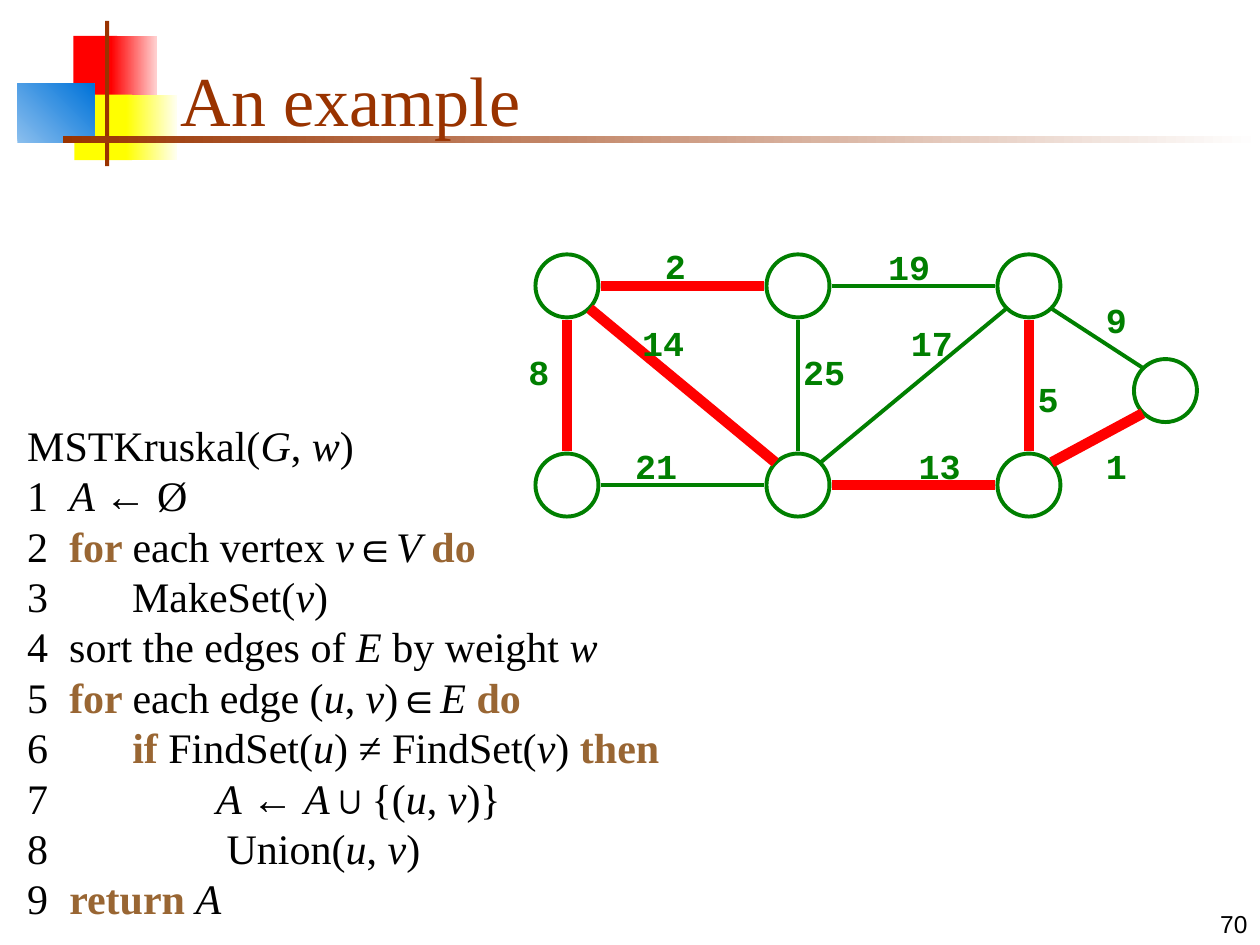
from lxml import etree
from pptx import Presentation
from pptx.dml.color import RGBColor
from pptx.enum.shapes import MSO_CONNECTOR, MSO_SHAPE
from pptx.enum.text import MSO_ANCHOR, PP_ALIGN
from pptx.oxml.ns import qn
from pptx.util import Pt

RECT = MSO_SHAPE.RECTANGLE
OVAL = MSO_SHAPE.OVAL
LINE = MSO_CONNECTOR.STRAIGHT
LEFT = PP_ALIGN.LEFT
MID = PP_ALIGN.CENTER
RIGHT = PP_ALIGN.RIGHT
TOP = MSO_ANCHOR.TOP
LOW = MSO_ANCHOR.BOTTOM

SERIF = "Times New Roman"
MONO = "Courier New"
SANS = "Arial"
BLACK = "000000"
WHITE = "FFFFFF"
GREEN = "007F00"
RED = "FF0000"
RUST = "993300"
BROWN = "996633"

RAD = 18
REACH = 19.4
SLANT = 13

DECOR = [
    (42, 20.5, 25, 37, [RED], 0),
    (63.5, 20.5, 26, 37, [RED, "FFD1D1"], 0),
    (42.5, 54, 33, 37.5, ["FFFF00"], 0),
    (72, 54, 29, 37.5, ["FFFF00", "FFFFF0"], 0),
    (10, 48, 44, 33.5, ["8BBFEE", "0073D9"], 45),
    (60, 12, 2.4, 83, [RUST], 0),
    (36, 78, 684, 3.8, [RUST, WHITE], 0),
]

NODES = {
    "a": (324, 163.4), "b": (456, 163.4), "c": (588, 163.4),
    "d": (324, 277.2), "e": (456, 277.2), "f": (588, 277.2),
    "g": (666, 223.2),
}

EDGES = [
    ("ab", 2, 386, 152, True),
    ("bc", 19, 519.5, 152.5, False),
    ("ce", 17, 532.5, 196, False),
    ("de", 21, 375, 266.5, False),
    ("ad", 8, 308, 212.5, True),
    ("ae", 14, 379, 196, True),
    ("be", 25, 471, 212.5, False),
    ("ef", 13, 537, 266.5, True),
    ("cf", 5, 599, 228, True),
    ("cg", 9, 638, 183, False),
    ("fg", 1, 638, 266.5, True),
]

CODE = [
    "MSTKruskal(*G*, *w*)",
    "1  *A *← Ø",
    "2  _for _each vertex *v∈V *_do_",
    "3        MakeSet(*v*)",
    "4  sort the edges of *E *by weight *w*",
    "5  _for _each edge (*u*, *v*)∈*E *_do_",
    "6        _if _FindSet(*u*) ≠ FindSet(*v*) _then_",
    "7                *A *← *A*∪{(*u*, *v*)}",
    "8                 Union(*u*, *v*)",
    "9  _return _*A*",
]


def paint(color, tone):
    color.rgb = RGBColor.from_string(tone)


def style(run, face, size, tone, bold=False, slope=False):
    font = run.font
    font.name = face
    font.size = Pt(size)
    font.bold = bold
    font.italic = slope
    paint(font.color, tone)


def block(slide, x, y, w, h, tones, turn):
    shape = slide.shapes.add_shape(RECT, Pt(x), Pt(y), Pt(w), Pt(h))
    shape.shadow.inherit = False
    shape.line.fill.background()
    if len(tones) == 1:
        shape.fill.solid()
        paint(shape.fill.fore_color, tones[0])
        return
    shape.fill.gradient()
    shape.fill.gradient_angle = turn
    for stop, tone in zip(shape.fill.gradient_stops, tones):
        paint(stop.color, tone)


def node(slide, x, y):
    side = Pt(2 * RAD)
    shape = slide.shapes.add_shape(OVAL, Pt(x - RAD), Pt(y - RAD), side, side)
    shape.shadow.inherit = False
    shape.fill.solid()
    paint(shape.fill.fore_color, WHITE)
    shape.line.width = Pt(2.25)
    paint(shape.line.color, GREEN)


def sign(num):
    return (num > 0) - (num < 0)


def edge(slide, start, end, tree):
    dx = sign(end[0] - start[0])
    dy = sign(end[1] - start[1])
    gap = SLANT if dx and dy else REACH
    line = slide.shapes.add_connector(
        LINE,
        Pt(start[0] + dx * gap), Pt(start[1] + dy * gap),
        Pt(end[0] - dx * gap), Pt(end[1] - dy * gap),
    )
    line.line.width = Pt(6 if tree else 2.25)
    paint(line.line.color, RED if tree else GREEN)
    etree.SubElement(line._element.spPr, qn("a:effectLst"))


def label(slide, x, y, w, h, text, face, size, tone, bold, align, anchor):
    box = slide.shapes.add_textbox(Pt(x), Pt(y), Pt(w), Pt(h))
    frame = box.text_frame
    frame.text = text
    frame.word_wrap = False
    frame.vertical_anchor = anchor
    para = frame.paragraphs[0]
    para.alignment = align
    style(para.runs[0], face, size, tone, bold)


def weight(slide, num, x, y):
    w = 28 if num < 10 else 42
    label(slide, x - w / 2, y - 16, w, 32, str(num),
          MONO, 20, GREEN, True, MID, TOP)


def listing(slide, x, y, w, h):
    frame = slide.shapes.add_textbox(Pt(x), Pt(y), Pt(w), Pt(h)).text_frame
    frame.word_wrap = True
    frame.text = "\n".join(CODE)
    for para, row in zip(frame.paragraphs, CODE):
        para.text = ""
        para.alignment = LEFT
        para.line_spacing = Pt(28.8)
        for i, part in enumerate(row.split("*")):
            for j, text in enumerate(part.split("_")):
                if text:
                    run = para.add_run()
                    run.text = text
                    key = j % 2 == 1
                    style(run, SERIF, 24, BROWN if key else BLACK,
                          key, i % 2 == 1)


def head(slide, text):
    title = slide.shapes.title
    title.left, title.top = Pt(96), Pt(18)
    title.width, title.height = Pt(613.5), Pt(66)
    frame = title.text_frame
    frame.text = text
    frame.vertical_anchor = LOW
    para = frame.paragraphs[0]
    para.alignment = LEFT
    style(para.runs[0], SERIF, 40, RUST)
    slide.shapes._spTree.append(title._element)


def main():
    deck = Presentation()
    deck.slide_width, deck.slide_height = Pt(720), Pt(540)
    slide = deck.slides.add_slide(deck.slide_layouts[5])
    for item in DECOR:
        block(slide, *item)
    label(slide, 570, 504, 150, 36, "70", SANS, 14, BLACK, False, RIGHT, LOW)
    head(slide, "An example")
    for spot in NODES.values():
        node(slide, *spot)
    for (start, end), _, _, _, tree in EDGES:
        edge(slide, NODES[start], NODES[end], tree)
    for _, num, x, y, _ in EDGES:
        weight(slide, num, x, y)
    listing(slide, 8.5, 236, 453.5, 295)
    deck.save("out.pptx")


if __name__ == "__main__":
    main()
